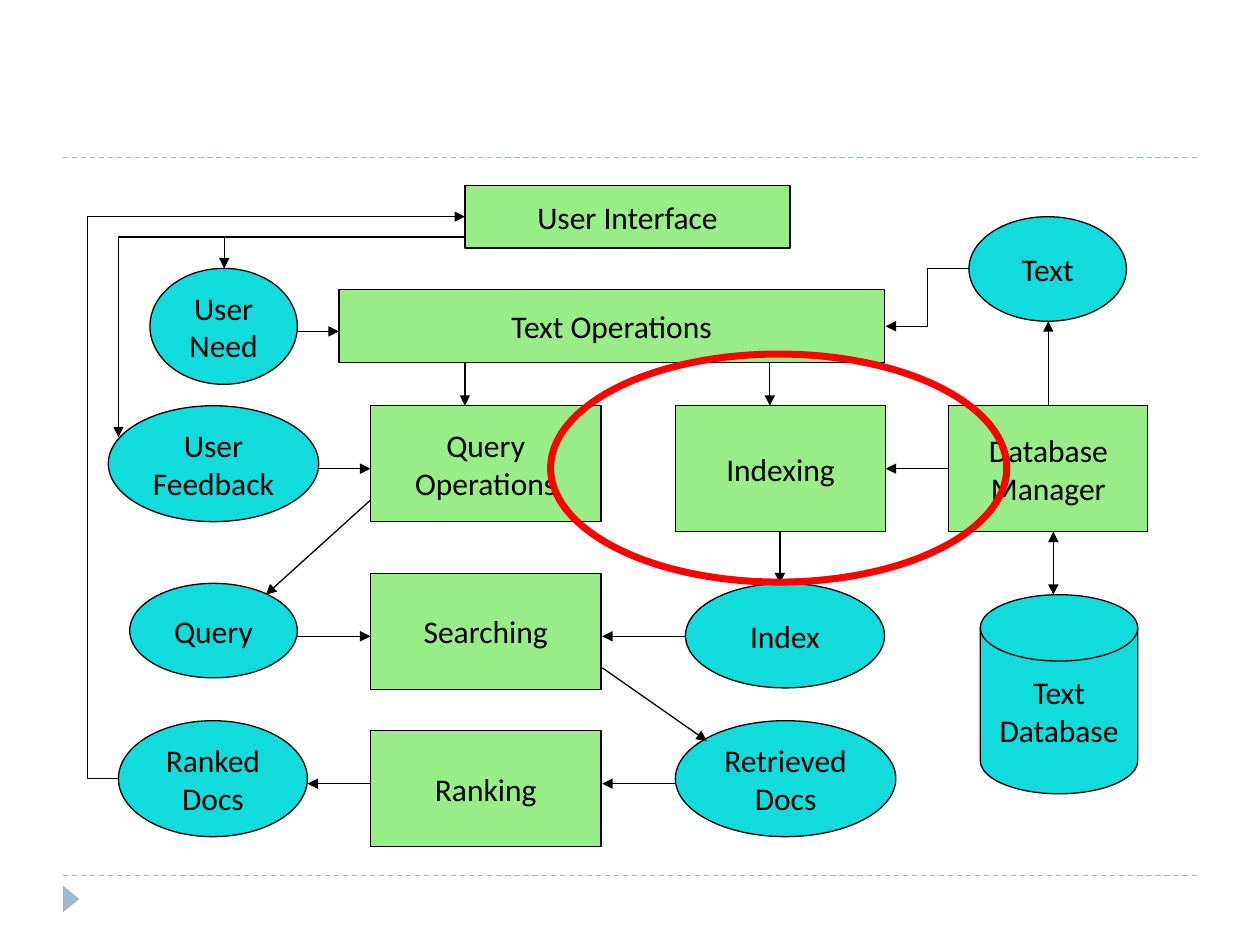
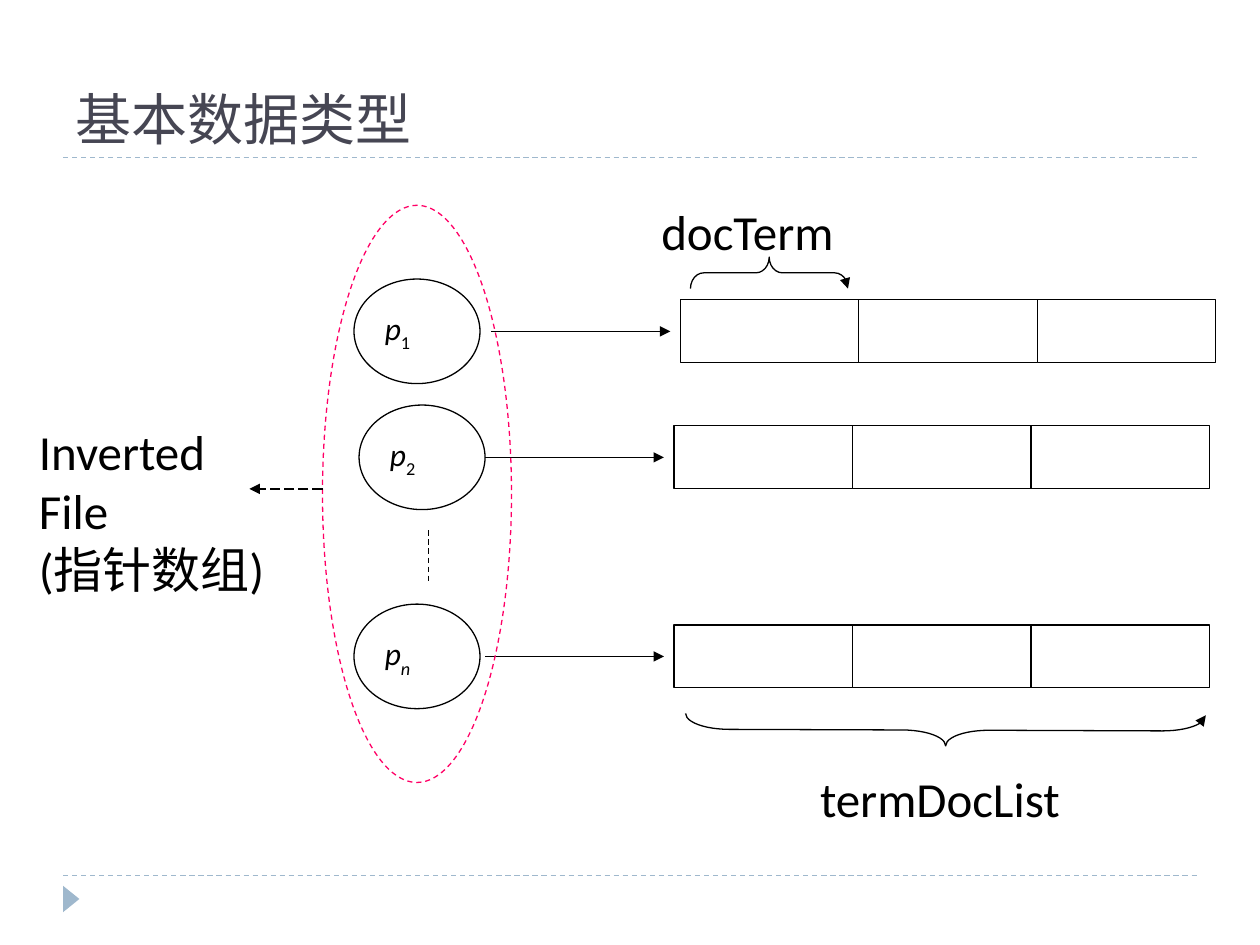
from dataclasses import dataclass

from lxml import etree
from pptx import Presentation
from pptx.dml.color import RGBColor
from pptx.enum.dml import MSO_LINE
from pptx.enum.shapes import MSO_CONNECTOR, MSO_SHAPE
from pptx.enum.text import MSO_ANCHOR, MSO_AUTO_SIZE, PP_ALIGN
from pptx.oxml.ns import qn
from pptx.util import Inches, Pt


@dataclass(frozen=True)
class Theme:
    ink: str = "000000"
    paper: str = "FFFFFF"
    title: str = "464653"
    frame: str = "9FB8CD"
    process: str = "98ED87"
    data: str = "11DBDB"
    highlight: str = "FF0000"
    pointers: str = "FF0066"
    body_font: str = "Calibri"
    title_font: str = "Roboto Slab"
    title_size: int = 32
    label_size: int = 28
    node_size: int = 18
    thin: float = 0.75
    thick: float = 4


THEME = Theme()

# Retrieval process: label lines and (left, top, width, height)
PROCESSES = [
    (["Database", "Manager"], (7.53, 3.22, 1.58, 1)),
    (["Indexing"], (5.36, 3.22, 1.67, 1)),
    (["Query", "Operations"], (2.94, 3.22, 1.83, 0.92)),
    (["Searching"], (2.94, 4.55, 1.83, 0.92)),
    (["Ranking"], (2.94, 5.8, 1.83, 0.92)),
    (["Text Operations"], (2.69, 2.3, 4.33, 0.58)),
    (["User Interface"], (3.69, 1.47, 2.58, 0.5)),
]
DATA = [
    (["Index"], (5.44, 4.63, 1.58, 0.83)),
    (["Ranked", "Docs"], (0.94, 5.72, 1.5, 0.92)),
    (["User", "Feedback"], (0.86, 3.22, 1.67, 0.92)),
    (["Retrieved", "Docs"], (5.36, 5.72, 1.75, 0.92)),
    (["User", "Need"], (1.19, 2.13, 1.17, 0.92)),
    (["Text"], (7.69, 1.72, 1.25, 0.83)),
    (["Query"], (1.03, 4.63, 1.33, 0.75)),
]
STORES = [(["Text", "Database"], (7.78, 4.72, 1.25, 1.58))]
NODE_GROUPS = [
    (MSO_SHAPE.FLOWCHART_MAGNETIC_DISK, THEME.data, STORES),
    (MSO_SHAPE.RECTANGLE, THEME.process, PROCESSES),
    (MSO_SHAPE.OVAL, THEME.data, DATA),
]
FLOWS = [
    ((2.36, 2.63), (2.69, 2.63)),
    ((8.32, 3.22), (8.32, 2.55)),
    ((6.11, 2.88), (6.11, 3.22)),
    ((7.53, 3.72), (7.03, 3.72)),
    ((6.19, 4.22), (6.19, 4.63)),
    ((5.44, 5.05), (4.78, 5.05)),
    ((4.78, 5.3), (5.61, 5.88)),
    ((5.36, 6.22), (4.78, 6.22)),
    ((2.94, 6.22), (2.44, 6.22)),
    ((2.53, 3.72), (2.94, 3.72)),
    ((3.69, 2.88), (3.69, 3.22)),
    ((2.94, 3.97), (2.11, 4.72)),
    ((2.36, 5.05), (2.94, 5.05)),
    ((1.78, 1.88), (1.78, 2.13)),
    ((0.94, 1.88), (0.94, 3.47)),
]
# Start, end and the bend's place as a share of the width
BENT_FLOWS = [
    ((7.69, 2.13), (7.03, 2.59), 0.5),
    ((0.94, 6.18), (3.69, 1.72), -0.09),
]
INTERFACE_LINES = [((3.69, y), (0.94, y)) for y in (1.88, 1.72)]
DATABASE_LINK = ((8.36, 4.22), (8.36, 4.72))
INDEXING_FOCUS = (4.37, 2.81, 3.62, 1.81)

# Inverted file: subscript, italic subscript, middle, pointer, arrow and list left
TITLE = "基本数据类型"
POINTERS = [
    ("1", False, 2.63, 2.81, 3.9, 5.4),
    ("2", False, 3.63, 2.85, 3.85, 5.35),
    ("n", True, 5.21, 2.81, 3.85, 5.35),
]
POINTER_SIZE = (1, 0.83)
ARROW_LENGTH = 1.42
LIST_WIDTH, LIST_HEIGHT, LIST_CELLS = 4.25, 0.5, 3
LABELS = [
    (["docTerm"], (5.15, 1.55, 1.82, 0.57)),
    (["termDocList"], (6.41, 6.05, 2.41, 0.57)),
    (["Inverted", "File", "(指针数组)"], (0.21, 3.3, 2.19, 1.5)),
]
# Box before turning, turn, curve size, arrow end
BRACES = [
    ((5.98, 1.54, 0.25, 1.25), 270, 0.42, "tail"),
    ((7.38, 3.73, 0.25, 4.13), 90.2, 1.38, "head"),
]
POINTER_ARRAY = (2.56, 1.63, 1.5, 4.58)


def inches(*lengths):
    return [Inches(length) for length in lengths]


def style_line(line, color=THEME.ink, width=THEME.thin, dash=None, ends=()):
    """Format an outline; ends may hold "head" and "tail" for arrowheads."""
    line.color.rgb = RGBColor.from_string(color)
    line.width = Pt(width)
    if dash:
        line.dash_style = dash
    for end in ("head", "tail"):
        if end in ends:
            etree.SubElement(line._get_or_add_ln(), qn(f"a:{end}End"), type="triangle")


def add_line(slide, start, end, bend=None, **style):
    kind = MSO_CONNECTOR.STRAIGHT if bend is None else MSO_CONNECTOR.ELBOW
    connector = slide.shapes.add_connector(kind, *inches(*start, *end))
    if bend is not None:
        guides = connector._element.spPr.find(qn("a:prstGeom")).get_or_add_avLst()
        etree.SubElement(guides, qn("a:gd"), name="adj1", fmla=f"val {round(bend * 100000)}")
    style_line(connector.line, **style)
    etree.SubElement(connector._element.spPr, qn("a:effectLst"))
    return connector


def add_figure(slide, kind, box, fill=None, outlined=True, **style):
    figure = slide.shapes.add_shape(kind, *inches(*box))
    figure.shadow.inherit = False
    if fill:
        figure.fill.solid()
        figure.fill.fore_color.rgb = RGBColor.from_string(fill)
    else:
        figure.fill.background()
    if outlined:
        style_line(figure.line, **style)
    else:
        figure.line.fill.background()
    return figure


def write(holder, lines, size=THEME.node_size, font=THEME.body_font, color=THEME.ink,
          align=PP_ALIGN.LEFT, anchor=MSO_ANCHOR.MIDDLE, wrap=False, grow=False):
    """Fill a shape; a line is a string or a list of (text, italic, subscript)."""
    frame = holder.text_frame
    frame.word_wrap = wrap
    frame.vertical_anchor = anchor
    frame.auto_size = MSO_AUTO_SIZE.SHAPE_TO_FIT_TEXT if grow else MSO_AUTO_SIZE.NONE
    for number, line in enumerate(lines):
        paragraph = frame.add_paragraph() if number else frame.paragraphs[0]
        paragraph.alignment = align
        for text, italic, subscript in [(line, False, False)] if isinstance(line, str) else line:
            run = paragraph.add_run()
            run.text = text
            run.font.size = Pt(size)
            run.font.name = font
            run.font.italic = italic
            run.font.color.rgb = RGBColor.from_string(color)
            if subscript:
                run._r.get_or_add_rPr().set("baseline", "-30000")


def add_framed_slide(deck):
    slide = deck.slides.add_slide(deck.slide_layouts[6])
    for y in (6.95, 1.25):
        add_line(slide, (0.5, y), (9.5, y), color=THEME.frame, dash=MSO_LINE.DASH)
    marker = add_figure(slide, MSO_SHAPE.ISOSCELES_TRIANGLE, (0.46, 7.07, 0.21, 0.13),
                        fill=THEME.frame, outlined=False)
    marker.rotation = 90
    return slide


def build_retrieval_process(deck):
    slide = add_framed_slide(deck)
    for kind, fill, nodes in NODE_GROUPS:
        for label, box in nodes:
            write(add_figure(slide, kind, box, fill), label, align=PP_ALIGN.CENTER)
    for start, end in FLOWS:
        add_line(slide, start, end, ends=("tail",))
    for start, end, bend in BENT_FLOWS:
        add_line(slide, start, end, bend, ends=("tail",))
    for start, end in INTERFACE_LINES:
        add_line(slide, start, end)
    add_line(slide, *DATABASE_LINK, ends=("head", "tail"))
    add_figure(slide, MSO_SHAPE.OVAL, INDEXING_FOCUS, color=THEME.highlight, width=THEME.thick)


def build_inverted_file(deck):
    slide = add_framed_slide(deck)
    write(slide.shapes.add_textbox(*inches(0.5, 0.17, 9, 1.08)), [TITLE], size=THEME.title_size,
          font=THEME.title_font, color=THEME.title, anchor=MSO_ANCHOR.BOTTOM, wrap=True)
    cell_width = LIST_WIDTH / LIST_CELLS
    for subscript, italic, middle, pointer_left, arrow_left, list_left in POINTERS:
        pointer_box = (pointer_left, middle - POINTER_SIZE[1] / 2, *POINTER_SIZE)
        pointer = add_figure(slide, MSO_SHAPE.OVAL, pointer_box, THEME.paper)
        write(pointer, [[("p", True, False), (subscript, italic, True)]])
        add_line(slide, (arrow_left, middle), (arrow_left + ARROW_LENGTH, middle), ends=("tail",))
        for cell in range(LIST_CELLS):
            cell_box = (list_left + cell * cell_width, middle - LIST_HEIGHT / 2,
                        cell_width, LIST_HEIGHT)
            add_figure(slide, MSO_SHAPE.RECTANGLE, cell_box, THEME.paper)
    add_line(slide, (3.4, 4.21), (3.4, 4.63), dash=MSO_LINE.DASH)
    for box, turn, curve, end in BRACES:
        brace = add_figure(slide, MSO_SHAPE.RIGHT_BRACE, box, ends=(end,))
        brace.rotation = turn
        brace.adjustments[0] = curve
    add_figure(slide, MSO_SHAPE.OVAL, POINTER_ARRAY, color=THEME.pointers, dash=MSO_LINE.DASH)
    add_line(slide, (2.56, 3.88), (1.98, 3.88), dash=MSO_LINE.LONG_DASH, ends=("tail",))
    for label, box in LABELS:
        write(slide.shapes.add_textbox(*inches(*box)), label, size=THEME.label_size,
              anchor=MSO_ANCHOR.TOP, grow=True)


def main():
    deck = Presentation()
    deck.slide_width, deck.slide_height = inches(10, 7.5)
    build_retrieval_process(deck)
    build_inverted_file(deck)
    deck.save("out.pptx")


if __name__ == "__main__":
    main()
